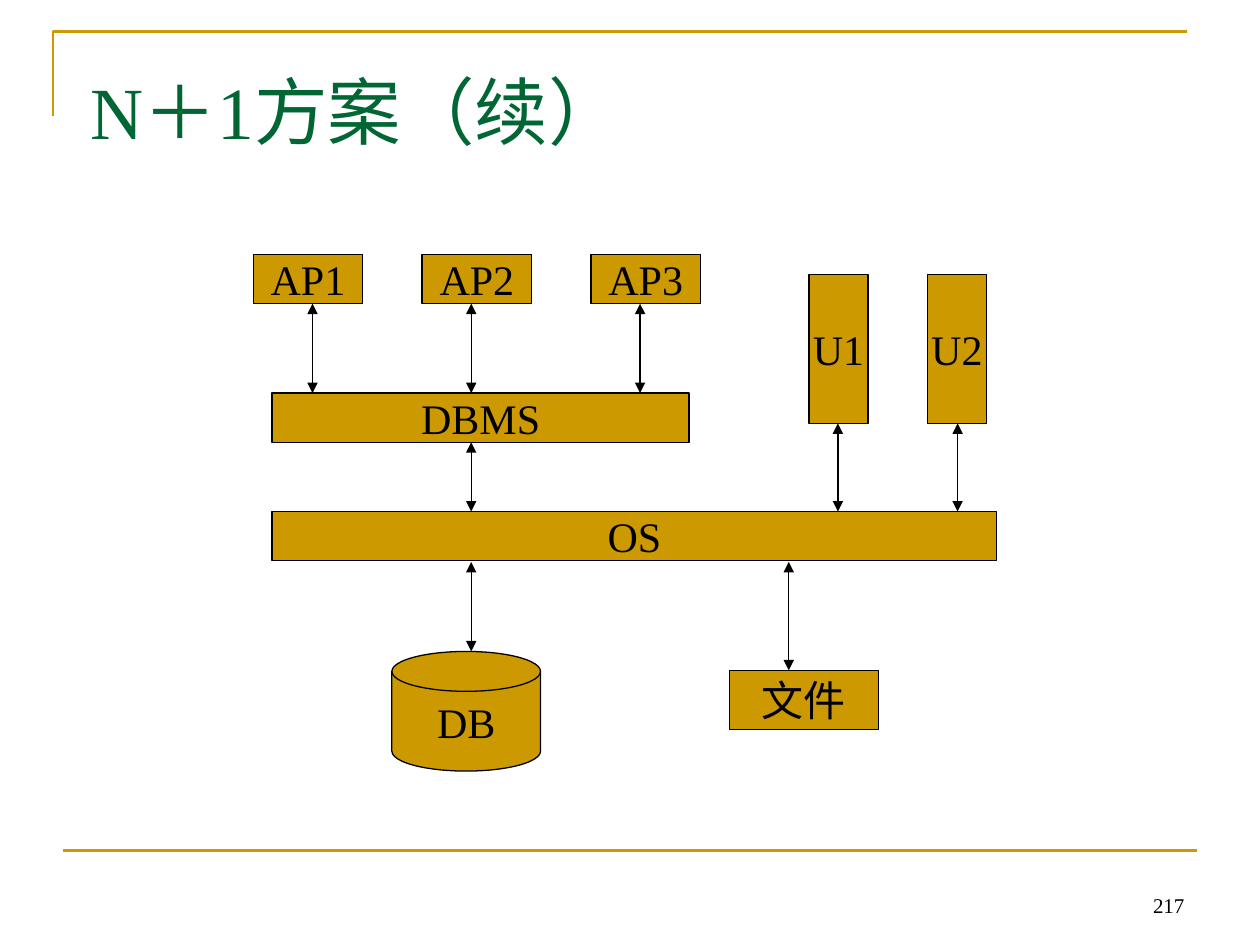
from lxml import etree
from pptx import Presentation
from pptx import util as u
from pptx.dml.color import RGBColor
from pptx.enum import shapes, text
from pptx.oxml import ns

GOLD = RGBColor(0xCC, 0x99, 0x00)
GREEN = RGBColor(0x00, 0x66, 0x33)
BLACK = RGBColor(0x00, 0x00, 0x00)
FONT = "Times New Roman"


def write(frame, words, size=24, color=BLACK, align=text.PP_ALIGN.CENTER,
          anchor=text.MSO_ANCHOR.MIDDLE, wrap=False):
    """Fill a text frame with one formatted paragraph."""
    frame.auto_size = text.MSO_AUTO_SIZE.NONE
    frame.word_wrap = wrap
    frame.vertical_anchor = anchor
    para = frame.paragraphs[0]
    para.alignment = align
    span = para.add_run()
    span.text = words
    span.font.name = FONT
    span.font.size = u.Pt(size)
    span.font.color.rgb = color


class Diagram:
    """Hold the current page and draw its elements in one style."""

    def __init__(self, page):
        self.page = page
        self.fill = GOLD
        self.ink = BLACK

    def title(self, words, *place):
        """Place and format the title placeholder."""
        box = self.page.shapes.title
        box.left, box.top, box.width, box.height = map(u.Inches, place)
        write(box.text_frame, words, size=42, color=GREEN, align=text.PP_ALIGN.LEFT,
              anchor=text.MSO_ANCHOR.TOP, wrap=True)

    def block(self, words, *place, kind=shapes.MSO_SHAPE.RECTANGLE):
        """Add a labelled component."""
        box = self.page.shapes.add_shape(kind, *map(u.Inches, place))
        box.shadow.inherit = False
        box.fill.solid()
        box.fill.fore_color.rgb = self.fill
        box.line.color.rgb = self.ink
        box.line.width = u.Pt(0.75)
        write(box.text_frame, words)

    def line(self, *ends, color, width):
        """Add a straight line without a shadow."""
        line = self.page.shapes.add_connector(shapes.MSO_CONNECTOR.STRAIGHT, *map(u.Inches, ends))
        line.line.color.rgb = color
        line.line.width = u.Pt(width)
        etree.SubElement(line._element.spPr, ns.qn("a:effectLst"))
        return line

    def arrow(self, x, top, bottom):
        """Add a vertical arrow with a head at both ends."""
        line = self.line(x, top, x, bottom, color=self.ink, width=0.75)
        stroke = line.line._get_or_add_ln()
        for end in ("a:headEnd", "a:tailEnd"):
            etree.SubElement(stroke, ns.qn(end), type="triangle")

    def corner(self, left, top, right, bottom):
        """Add the open corner rule above the title."""
        builder = self.page.shapes.build_freeform(u.Inches(left), u.Inches(bottom))
        points = [(left, top), (right, top)]
        builder.add_line_segments([tuple(map(u.Inches, point)) for point in points], close=False)
        rule = builder.convert_to_shape()
        rule.shadow.inherit = False
        rule.fill.background()
        rule.line.color.rgb = GOLD
        rule.line.width = u.Pt(1.5)

    def number(self, words, *place):
        """Add the page number."""
        box = self.page.shapes.add_textbox(*map(u.Inches, place))
        write(box.text_frame, words, size=12, align=text.PP_ALIGN.RIGHT,
              anchor=text.MSO_ANCHOR.BOTTOM, wrap=True)


def main():
    """Build and save the deck."""
    deck = Presentation()
    deck.slide_width, deck.slide_height = u.Inches(10), u.Inches(7.5)
    diagram = Diagram(deck.slides.add_slide(deck.slide_layouts[5]))

    diagram.corner(0.42, 0.25, 9.42, 0.92)
    diagram.line(0.5, 6.75, 9.5, 6.75, color=GOLD, width=1.5)
    diagram.title("N＋1方案（续）", 0.62, 0.47, 8.5, 1.25)

    for index in range(3):
        diagram.block(f"AP{index + 1}", 2.01 + 1.34 * index, 2.02, 0.87, 0.39)
    diagram.block("DBMS", 2.16, 3.12, 3.31, 0.39)
    for index in range(2):
        diagram.block(f"U{index + 1}", 6.42 + 0.94 * index, 2.18, 0.47, 1.18)
    diagram.block("OS", 2.16, 4.06, 5.75, 0.39)
    diagram.block("DB", 3.11, 5.17, 1.18, 0.95, kind=shapes.MSO_SHAPE.FLOWCHART_MAGNETIC_DISK)
    diagram.block("文件", 5.79, 5.32, 1.18, 0.47)

    for x in (2.48, 3.74, 5.08):
        diagram.arrow(x, 2.41, 3.12)
    diagram.arrow(3.74, 3.51, 4.06)
    for x in (6.65, 7.6):
        diagram.arrow(x, 3.36, 4.06)
    diagram.arrow(3.74, 4.46, 5.17)
    diagram.arrow(6.26, 4.46, 5.32)

    diagram.number("217", 7.17, 6.83, 2.33, 0.5)
    deck.save("out.pptx")


if __name__ == "__main__":
    main()
